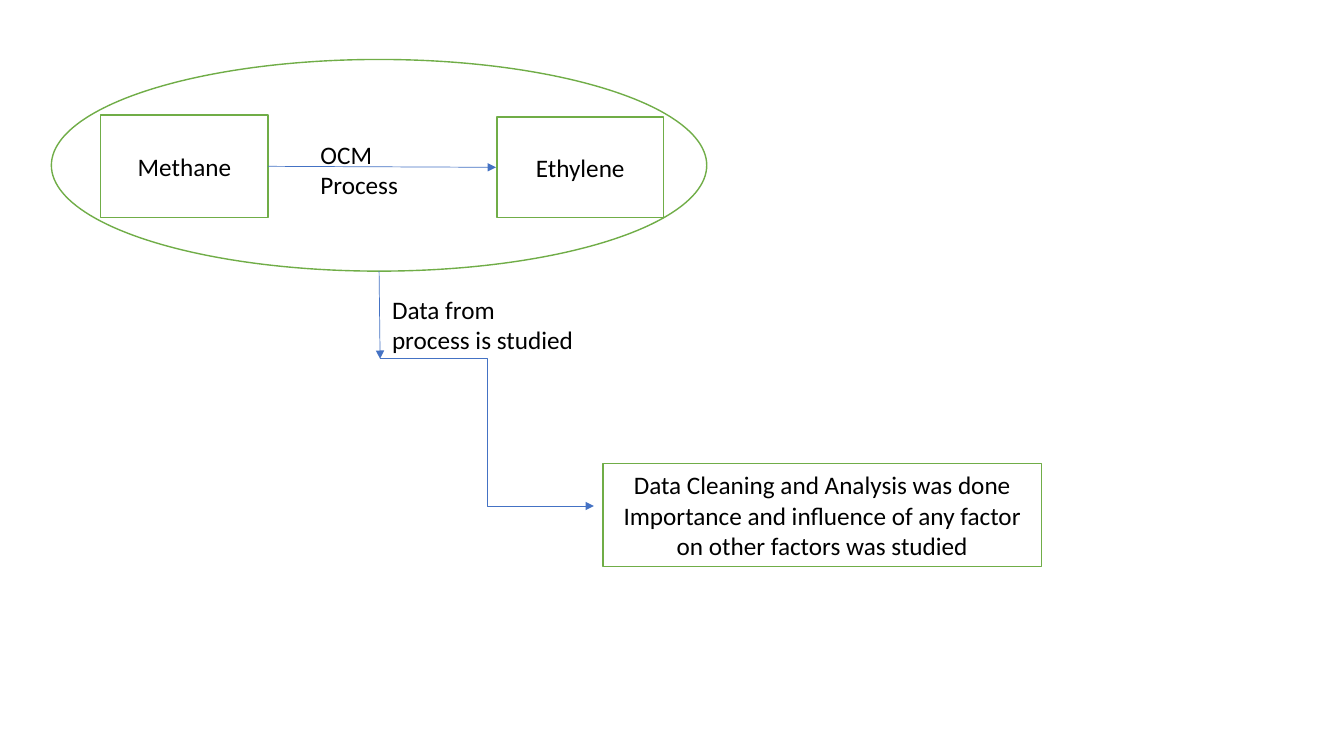
import pptx
import pptx.dml.color
import pptx.enum.shapes
import pptx.enum.text
import pptx.oxml.ns
import pptx.util
from lxml import etree

Inches = pptx.util.Inches
Pt = pptx.util.Pt
SHAPE = pptx.enum.shapes.MSO_SHAPE
CONNECTOR = pptx.enum.shapes.MSO_CONNECTOR
ALIGN = pptx.enum.text.PP_ALIGN
ANCHOR = pptx.enum.text.MSO_ANCHOR
qn = pptx.oxml.ns.qn

GREEN = pptx.dml.color.RGBColor(0x70, 0xAD, 0x47)
BLUE = pptx.dml.color.RGBColor(0x44, 0x72, 0xC4)
WHITE = pptx.dml.color.RGBColor(0xFF, 0xFF, 0xFF)
BLACK = pptx.dml.color.RGBColor(0x00, 0x00, 0x00)


def write(tf, text, size=18, color=BLACK, align=ALIGN.LEFT, anchor=ANCHOR.TOP):
    tf.word_wrap = True
    tf.vertical_anchor = anchor
    p = tf.paragraphs[0]
    p.text = text
    p.alignment = align
    for r in p.runs:
        r.font.name = "Calibri"
        r.font.size = Pt(size)
        r.font.color.rgb = color


def add_outline(s, kind, left, top, width, height):
    sp = s.shapes.add_shape(kind, Inches(left), Inches(top), Inches(width), Inches(height))
    sp.shadow.inherit = False
    sp.fill.background()
    sp.line.color.rgb = GREEN
    sp.line.width = Pt(1)
    return sp


def add_step(s, text, left, top, width, height):
    sp = add_outline(s, SHAPE.RECTANGLE, left, top, width, height)
    sp.fill.solid()
    sp.fill.fore_color.rgb = WHITE
    write(sp.text_frame, text, align=ALIGN.CENTER, anchor=ANCHOR.MIDDLE)


def add_label(s, text, left, top, width, height):
    sp = s.shapes.add_textbox(Inches(left), Inches(top), Inches(width), Inches(height))
    write(sp.text_frame, text)


def add_arrow(s, x1, y1, x2, y2, kind=CONNECTOR.STRAIGHT):
    sp = s.shapes.add_connector(kind, Inches(x1), Inches(y1), Inches(x2), Inches(y2))
    sp.line.color.rgb = BLUE
    sp.line.width = Pt(0.5)
    etree.SubElement(sp.line._get_or_add_ln(), qn("a:tailEnd"), type="triangle")
    etree.SubElement(sp._element.spPr, qn("a:effectLst"))


def draw_reaction(s, left, top, width, height):
    """Methane to ethylene, enclosed in an oval that fills the box."""
    add_step(s, "Methane", left + 0.49, top + 0.55, 1.66, 1.02)
    add_arrow(s, left + 2.15, top + 1.06, left + 4.41, top + 1.07)
    add_label(s, "OCM Process", left + 2.57, top + 0.74, 1.34, 0.7)
    add_step(s, "Ethylene", left + 4.42, top + 0.57, 1.65, 1)
    add_outline(s, SHAPE.OVAL, left, top, width, height)


def draw_analysis(s, left, top, width, height):
    """Arrows leading from the top left of the box to the study at its bottom right."""
    elbow_x, elbow_y = left + 0.01, top + 0.87
    step_w, step_h = 4.35, 1.02
    add_arrow(s, left, top, elbow_x, elbow_y)
    add_label(s, "Data from process is studied", left + 0.03, top + 0.18, 2, 1.01)
    add_arrow(s, elbow_x, elbow_y, elbow_x + 2.12, elbow_y + 1.46, kind=CONNECTOR.ELBOW)
    add_step(
        s,
        "Data Cleaning and Analysis was done\n"
        "Importance and influence of any factor on other factors was studied",
        left + width - step_w, top + height - step_h, step_w, step_h,
    )


def main():
    prs = pptx.Presentation()
    prs.slide_width = Inches(13.33)
    prs.slide_height = Inches(7.5)
    s = prs.slides.add_slide(prs.slide_layouts[6])
    draw_reaction(s, 0.51, 0.59, 6.5, 2.1)
    draw_analysis(s, 3.76, 2.69, 6.57, 2.93)
    prs.save("out.pptx")


if __name__ == "__main__":
    main()
